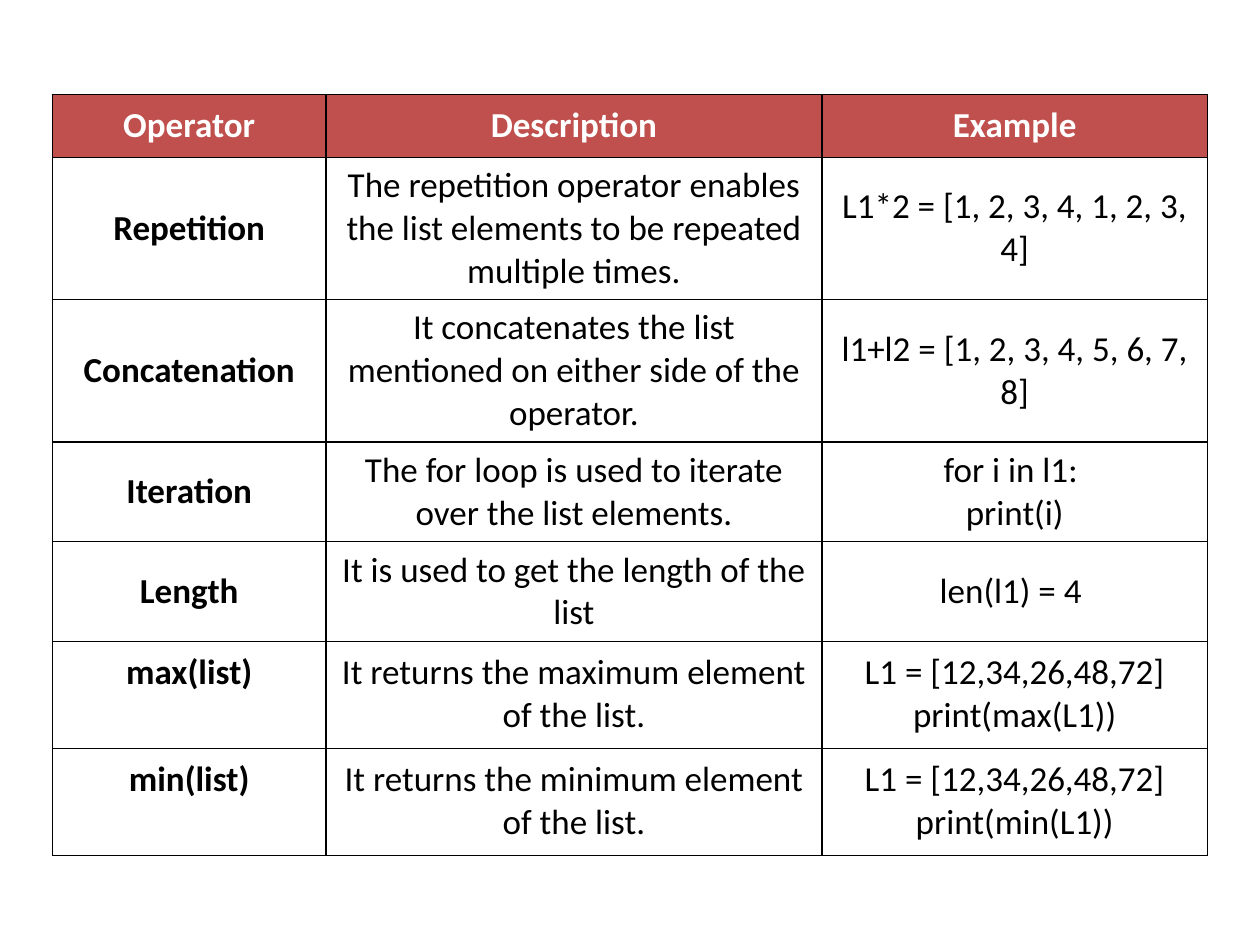
from lxml import etree
from pptx import Presentation
from pptx import util as u
from pptx.dml.color import RGBColor
from pptx.enum import text
from pptx.oxml.ns import qn

COLORS = {"header": "C0504D", "header_text": "FFFFFF", "body_text": "000000", "border": "000000"}

HEADINGS = ("Operator", "Description", "Example")
OPERATORS = [
    ("Repetition", "The repetition operator enables the list elements to be repeated multiple times.",
     "L1*2 = [1, 2, 3, 4, 1, 2, 3, 4]"),
    ("Concatenation", "It concatenates the list mentioned on either side of the operator.",
     "l1+l2 = [1, 2, 3, 4, 5, 6, 7, 8]"),
    ("Iteration", "The for loop is used to iterate over the list elements.",
     "for i in l1: \nprint(i)"),
    ("Length", "It is used to get the length of the list", "len(l1) = 4 "),
    ("max(list)", "It returns the maximum element of the list.",
     "L1 = [12,34,26,48,72] print(max(L1))"),
    ("min(list)", "It returns the minimum element of the list.",
     "L1 = [12,34,26,48,72] print(min(L1))"),
]
COLUMN_SHARES = (2.17, 3.94, 3.06)
ROW_HEIGHTS = (1.27, 2.87, 2.87, 2.01, 2.01, 2.16, 2.16)
MIDDLE_ROWS = range(1, 5)


def draw_borders(cell):
    properties = cell._tc.get_or_add_tcPr()
    for position, side in enumerate(("lnL", "lnR", "lnT", "lnB")):
        border = etree.Element(qn(f"a:{side}"), w=str(u.Pt(1)))
        fill = etree.SubElement(border, qn("a:solidFill"))
        etree.SubElement(fill, qn("a:srgbClr"), val=COLORS["border"])
        properties.insert(position, border)


def format_cell(cell, wording, bold, color, inset, anchor):
    cell.text_frame.text = wording
    cell.vertical_anchor = anchor
    cell.margin_left = cell.margin_right = u.Cm(inset)
    cell.margin_top = cell.margin_bottom = u.Cm(inset)
    for paragraph in cell.text_frame.paragraphs:
        paragraph.alignment = text.PP_ALIGN.CENTER
        for run in paragraph.runs:
            run.font.name = "Calibri"
            run.font.size = u.Pt(20)
            run.font.bold = bold
            run.font.color.rgb = RGBColor.from_string(color)
    draw_borders(cell)


def add_operator_table(slide, left, top, width):
    entries = [HEADINGS, *OPERATORS]
    frame = slide.shapes.add_table(len(entries), len(HEADINGS), u.Cm(left), u.Cm(top),
                                   u.Cm(width), u.Cm(sum(ROW_HEIGHTS)))
    operators = frame.table
    for column, share in zip(operators.columns, COLUMN_SHARES):
        column.width = u.Cm(width * share / sum(COLUMN_SHARES))
    for row, height in zip(operators.rows, ROW_HEIGHTS):
        row.height = u.Cm(height)

    for row, entry in enumerate(entries):
        heading = row == 0
        middle = row in MIDDLE_ROWS
        for column, wording in enumerate(entry):
            cell = operators.cell(row, column)
            if heading:
                cell.fill.solid()
                cell.fill.fore_color.rgb = RGBColor.from_string(COLORS["header"])
            else:
                cell.fill.background()
            format_cell(cell, wording,
                        bold=heading or column == 0,
                        color=COLORS["header_text" if heading else "body_text"],
                        inset=0.13 if middle else 0.2,
                        anchor=text.MSO_ANCHOR.MIDDLE if middle else text.MSO_ANCHOR.TOP)


def main():
    deck = Presentation()
    deck.slide_width, deck.slide_height = u.Cm(25.4), u.Cm(19.05)
    slide = deck.slides.add_slide(deck.slide_layouts[6])
    add_operator_table(slide, left=1.06, top=1.9, width=23.28)
    deck.save("out.pptx")


if __name__ == "__main__":
    main()
